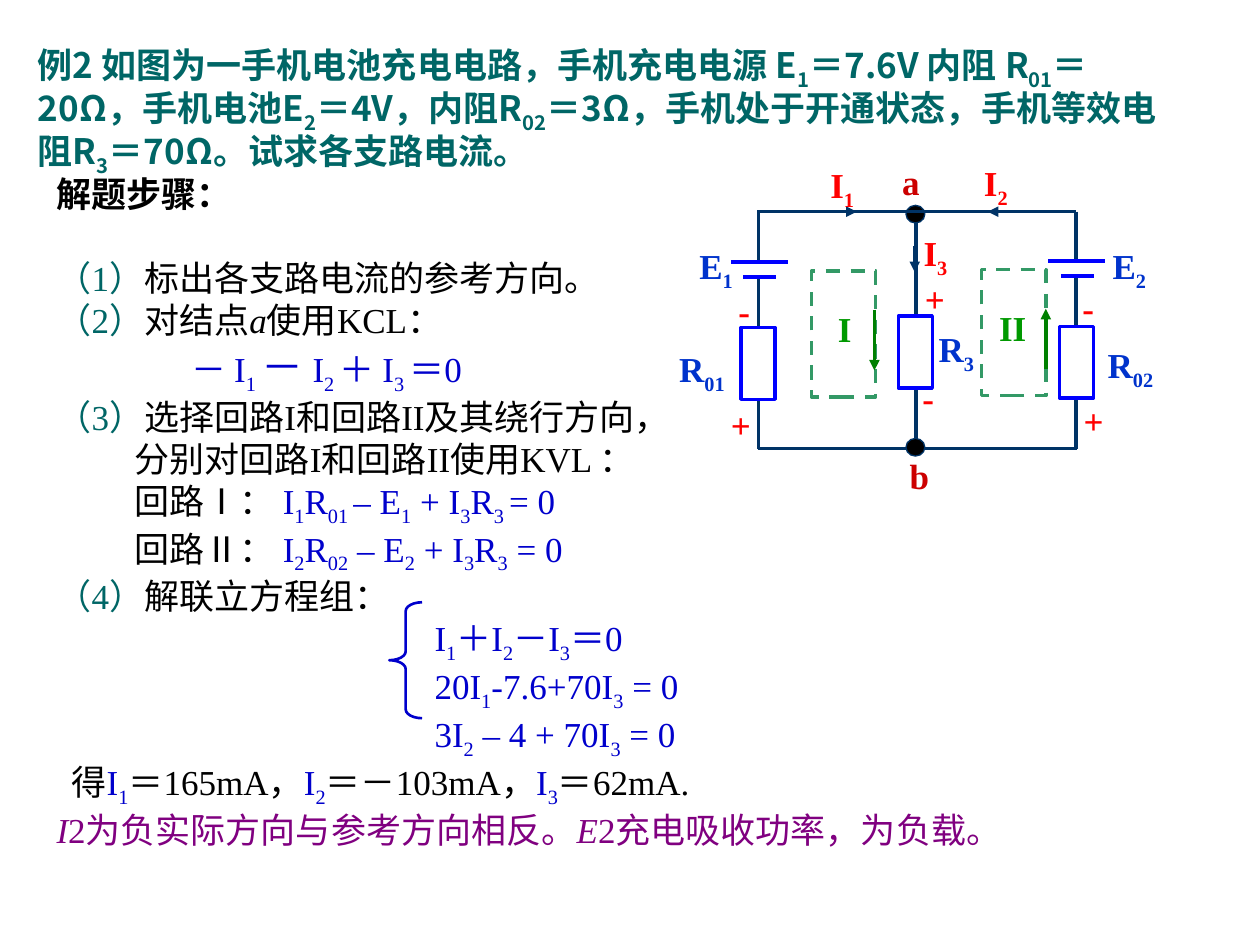
from lxml import etree
from pptx import Presentation
from pptx import util as u
from pptx.dml.color import RGBColor
from pptx.enum import dml, shapes, text
from pptx.oxml.ns import qn

PX = 9144  # 100 px to the inch
C = {"teal": "006666", "black": "000000", "eq": "0000CC", "purple": "800080",
     "node": "CC0000", "label": "0033CC", "red": "FF0000", "loop": "009900",
     "wire": "003366", "part": "0000FF", "dash": "339966", "arrow": "008000"}
SERIF, SANS = "Times New Roman", "Noto Sans CJK SC"


def write(p, parts, font=SERIF, bold=False):
    """Add (colour, text, options) parts; text between ~ marks is subscript."""
    for colour, words, *options in parts:
        for i, piece in enumerate(words.split("~")):
            if not piece:
                continue
            r = p.add_run()
            r.text = piece
            r.font.name, r.font.size, r.font.bold = font, u.Pt(20), bold
            r.font.color.rgb = RGBColor.from_string(C[colour])
            if "italic" in options:
                r.font.italic = True
            if "large" in options:
                r.font.size = u.Pt(24)
            if i % 2:
                r.font._element.set("baseline", "-25000")


def line(x1, y1, x2, y2, colour="wire", arrow=False):
    ends = [v * PX for v in (x1, y1, x2, y2)]
    cn = s.shapes.add_connector(shapes.MSO_CONNECTOR.STRAIGHT, *ends)
    cn.line.color.rgb = RGBColor.from_string(C[colour])
    cn.line.width = u.Pt(2)
    if arrow:
        etree.SubElement(cn.line._get_or_add_ln(), qn("a:tailEnd"), type="triangle")
    etree.SubElement(cn._element.spPr, qn("a:effectLst"))


prs = Presentation()
prs.slide_width, prs.slide_height = 1000 * PX, 750 * PX
s = prs.slides.add_slide(prs.slide_layouts[5])

# Problem statement
title = s.shapes.title
title.left, title.top, title.width, title.height = 20 * PX, 30 * PX, 916 * PX, 113 * PX
tf = title.text_frame
tf.vertical_anchor = text.MSO_ANCHOR.TOP
tf.auto_size = text.MSO_AUTO_SIZE.NONE
p = tf.paragraphs[0]
p.alignment, p.line_spacing = text.PP_ALIGN.LEFT, 0.9
write(p, [("teal", "例2 如图为一手机电池充电电路，手机充电电源 E~1~＝7.6V 内阻 R~01~＝20Ω，"
                   "手机电池E~2~＝4V，内阻R~02~＝3Ω，手机处于开通状态，手机等效电阻R~3~＝70Ω。"
                   "试求各支路电流。")], SANS, True)

# Solution steps: (indent px, parts)
steps = [
    (0, [("black", "解题步骤：")]),
    (0, [("teal", "（1）"), ("black", "标出各支路电流的参考方向。")]),
    (0, [("teal", "（2）"), ("black", "对结点"), ("black", "a", "italic"), ("black", "使用KCL：")]),
    (107, [("eq", "－ I~1 ~"), ("eq", "－ ", "large"), ("eq", "I~2 ~＋ I~3 ~＝0")]),
    (0, [("teal", "（3）"), ("black", "选择回路I和回路II及其绕行方向，")]),
    (62, [("black", "分别对回路I和回路II使用KVL ：")]),
    (62, [("black", "回路Ⅰ： "), ("eq", "I~1~R~01 ~– E~1~ + I~3~R~3 ~= 0")]),
    (62, [("black", "回路Ⅱ： "), ("eq", "I~2~R~02~ – E~2~ + I~3~R~3~ = 0")]),
    (0, [("teal", "（4）"), ("black", "解联立方程组：")]),
    (300, [("eq", "I~1~＋I~2~－I~3~＝0")]),
    (300, [("eq", "20I~1~-7.6+70I~3~ = 0")]),
    (300, [("eq", "3I~2~ – 4 + 70I~3~ = 0")]),
    (12, [("black", "得"), ("eq", "I~1~"), ("black", "＝165mA，"), ("eq", "I~2~"),
          ("black", "＝－103mA，"), ("eq", "I~3~"), ("black", "＝62mA.")]),
    (0, [("purple", "I", "italic"), ("purple", "2为负实际方向与参考方向相反。"),
         ("purple", "E", "italic"), ("purple", "2充电吸收功率，为负载。")]),
]
tf = s.shapes.add_textbox(35 * PX, 132 * PX, 919 * PX, 548 * PX).text_frame
tf.word_wrap = True
for i, (indent, parts) in enumerate(steps):
    p = tf.paragraphs[0] if i == 0 else tf.add_paragraph()
    p._p.get_or_add_pPr().set("marL", str(indent * PX))
    if i == 1:
        p.space_before = u.Pt(24)
    write(p, parts, bold=i == 0)

# Circuit: the two battery branches, then the middle branch
for x, y in ((602, 208), (854, 207)):
    line(x, 168, x, y)
    line(x, y + 12, x, y + 51)
    line(x, y + 108, x, 356)
    line(x - 22, y, x + 23, y, "part")
    line(x - 12, y + 12, x + 14, y + 12, "part")
line(727, 168, 727, 252)
line(727, 308, 727, 356)
line(602, 356, 855, 356)

# Nodes, resistors, loops and the brace
RECT, OVAL = shapes.MSO_SHAPE.RECTANGLE, shapes.MSO_SHAPE.OVAL
outlines = [(OVAL, 719, 163, 15, 14, "wire", 0.75), (OVAL, 719, 348, 15, 14, "wire", 0.75),
            (RECT, 588, 260, 27, 57, "part", 2), (RECT, 713, 251, 27, 57, "part", 2),
            (RECT, 841, 259, 27, 57, "part", 2),
            (RECT, 644, 215, 51, 100, "dash", 2), (RECT, 779, 214, 51, 100, "dash", 2),
            (shapes.MSO_SHAPE.LEFT_BRACE, 309, 478, 26, 92, "eq", 1.5)]
for kind, x, y, w, h, colour, weight in outlines:
    sp = s.shapes.add_shape(kind, x * PX, y * PX, w * PX, h * PX)
    sp.shadow.inherit = False
    sp.line.color.rgb = RGBColor.from_string(C[colour])
    sp.line.width = u.Pt(weight)
    if kind == OVAL:
        sp.fill.solid()
        sp.fill.fore_color.rgb = RGBColor.from_string(C["black"])
    else:
        sp.fill.background()
    if colour == "dash":
        sp.line.dash_style = dml.MSO_LINE.DASH
    if kind == shapes.MSO_SHAPE.LEFT_BRACE:
        sp.adjustments[0] = 0.27

# Top wire, current arrows and loop directions
line(601, 168, 854, 168)
for x1, y1, x2, y2, colour in ((657, 168, 680, 168, "wire"), (807, 168, 784, 168, "wire"),
                               (726, 195, 726, 216, "wire"), (694, 246, 694, 294, "arrow"),
                               (830, 293, 830, 245, "arrow")):
    line(x1, y1, x2, y2, colour, arrow=True)

labels = [
    ("a", 716, 127, 14, "node"), ("b", 722, 361, 10, "node"),
    ("I~1~", 659, 130, 24, "red"), ("I~2~", 781, 128, 24, "red"), ("I~3~", 733, 184, 24, "red"),
    ("E~1~", 555, 194, 43, "label"), ("E~2~", 883, 194, 43, "label"),
    ("R~01~", 539, 276, 43, "label"), ("R~02~", 879, 273, 43, "label"),
    ("R~3~", 745, 260, 34, "label"),
    ("-", 586, 230, 9, "red"), ("-", 732, 299, 9, "red"), ("-", 859, 227, 9, "red"),
    ("+", 580, 320, 19, "red"), ("+", 734, 220, 19, "red"), ("+", 860, 317, 19, "red"),
    ("I", 665, 244, 11, "loop"), ("II", 793, 243, 26, "loop"),
]
for words, x, y, w, colour in labels:
    h = 38 if "~" in words else 33
    tf = s.shapes.add_textbox(x * PX, y * PX, w * PX, h * PX).text_frame
    tf.margin_left = tf.margin_top = tf.margin_right = tf.margin_bottom = 0
    tf.word_wrap = False
    write(tf.paragraphs[0], [(colour, words)], bold=True)

prs.save("out.pptx")
